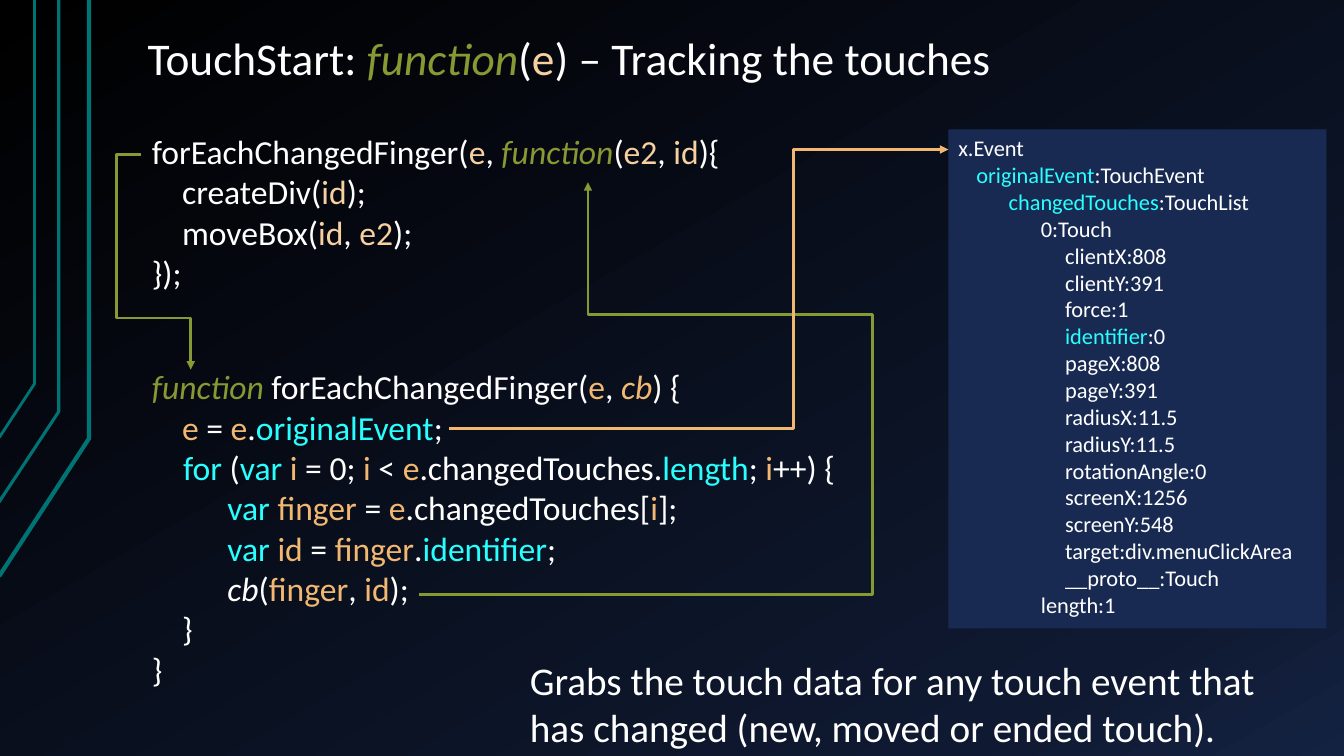
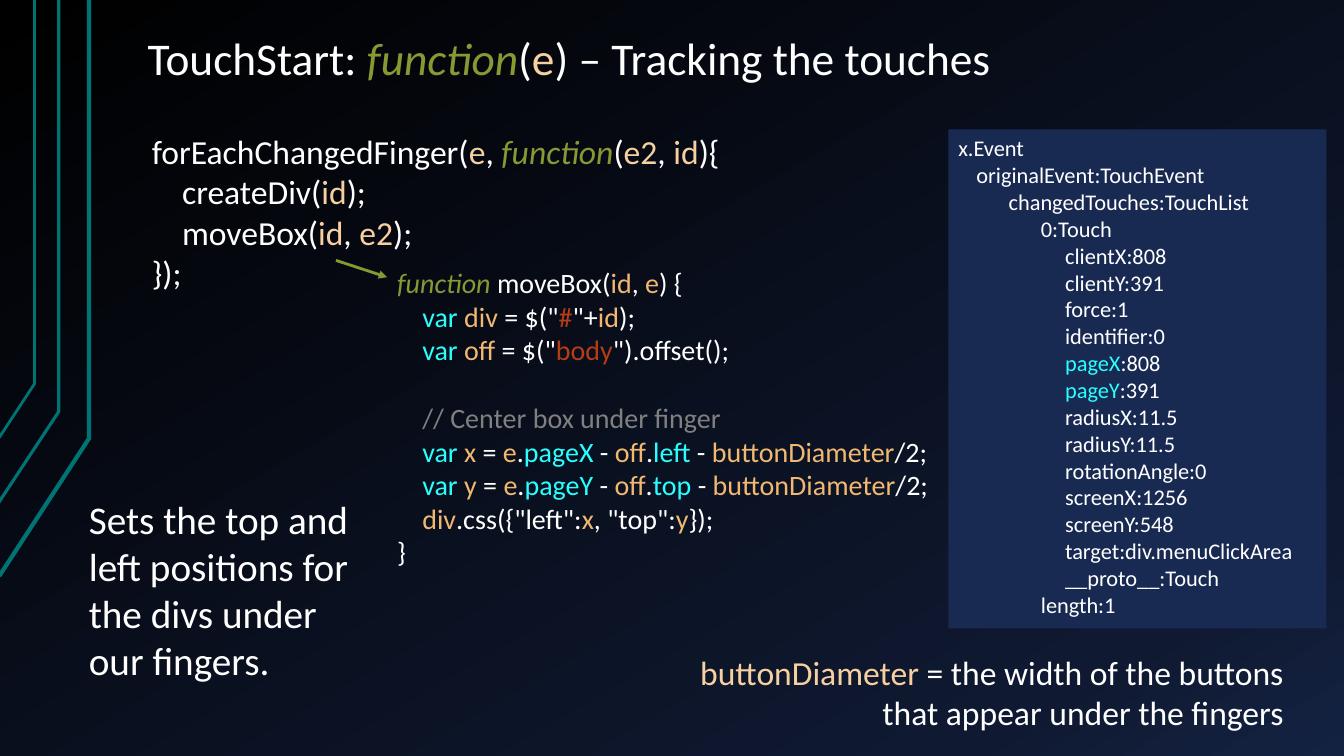
from copy import deepcopy

from lxml import etree
from pptx import Presentation
from pptx import util as u
from pptx.dml.color import RGBColor
from pptx.enum import shapes, text
from pptx.oxml.ns import qn

COLS, ROWS = 160, 90
COLORS = {
    "white": "FFFFFF", "green": "879933", "pale": "F7D0A1", "orange": "F2B872",
    "cyan": "29FFFF", "red": "B63C16", "gray": "808080", "teal": "007373",
    "panel": "192A52", "black": "000000", "night": "0F1931", "navy": "142242",
}
STYLES = {
    "fn": ("green", True), "arg": ("pale", False), "var": ("orange", False),
    "cb": ("orange", True), "call": ("white", True), "key": ("cyan", False),
    "str": ("red", False), "note": ("gray", False),
}
BACKDROP = [(0, "black"), (0.85, "night"), (1, "navy")]
STRIPES = [
    ((-0.1, 68.6), (10.6, 52.2), 3),
    ((-0.2, 59.9), (7, 49), 2.25),
    ((-0.1, 52.1), (4.1, 45.7), 2),
]
TITLE = "TouchStart: |fn:function|(|arg:e|) – Tracking the touches"
CALLER = [
    (0, "forEachChangedFinger(|arg:e|, |fn:function|(|arg:e2|, |arg:id|){"),
    (0.3, "createDiv(|arg:id|);"),
    (0.3, "moveBox(|arg:id|, |arg:e2|);"),
    (0, "});"),
]
FINGER_LOOP = [
    (0, "|fn:function |forEachChangedFinger(|var:e|, |cb:cb|) {"),
    (0.3, "|var:e| = |var:e|.|key:originalEvent|;"),
    (0.31, "|key:for |(|key:var ||var:i| = 0; |var:i| < |var:e|.changedTouches."
           "|key:length|; |var:i|++) {"),
    (0.75, "|key:var ||var:finger| = |var:e|.changedTouches[|var:i|];"),
    (0.75, "|key:var ||var:id| = |var:finger|.|key:identifier|;"),
    (0.75, "|call:cb|(|var:finger|, |var:id|);"),
    (0.3, "}"),
    (0, "}"),
]
MOVE_BOX = [
    (0, "|fn:function |moveBox(|var:id|, |var:e|) {"),
    (0.25, '|key:var ||var:div| = $("|str:#|"+|var:id|);'),
    (0.25, '|key:var ||var:off| = $("|str:body|").offset();'),
    (0.25, "|note:// Center box under finger|", 24.4),
    (0.25, "|key:var ||var:x| = |var:e|.|key:pageX| - |var:off|.|key:left| - "
           "|var:buttonDiameter|/2;"),
    (0.25, "|key:var ||var:y| = |var:e|.|key:pageY| - |var:off|.|key:top| - "
           "|var:buttonDiameter|/2;"),
    (0.25, '|var:div|.css({"left":|var:x|, "top":|var:y|});'),
    (0, "}"),
]
TOUCH_FIELDS = [
    "clientX:808", "clientY:391", "force:1", "identifier:0", "pageX:808",
    "pageY:391", "radiusX:11.5", "radiusY:11.5", "rotationAngle:0",
    "screenX:1256", "screenY:548", "target:div.menuClickArea", "__proto__:Touch",
]
EVENT_TREE = [
    (0, "x.Event"), (0.18, "originalEvent:TouchEvent"),
    (0.5, "changedTouches:TouchList"), (0.82, "0:Touch"),
    *[(1.06, field) for field in TOUCH_FIELDS], (0.82, "length:1"),
]


def rgb(name):
    """Return the named colour."""
    return RGBColor.from_string(COLORS[name])


class Deck:
    """Dark code deck drawn on a grid of columns and rows."""

    def __init__(self):
        """Open a widescreen presentation with the shared backdrop."""
        self.prs = Presentation()
        self.cell = u.Emu(76200)
        self.prs.slide_width, self.prs.slide_height = self.grid(COLS, ROWS)
        self.slide = None
        self.backdrop()

    def grid(self, *cells):
        """Convert grid lengths to EMU."""
        return [u.Emu(round(c * self.cell)) for c in cells]

    def backdrop(self):
        """Give the master its gradient background."""
        master = self.prs.slide_master
        fill = master.background.fill
        fill.gradient()
        fill.gradient_angle = 300
        stops = master.element.find(".//" + qn("a:gsLst"))
        stops.append(deepcopy(stops[0]))
        for stop, (position, color) in zip(fill.gradient_stops, BACKDROP):
            stop.position = position
            stop.color.rgb = rgb(color)

    def new_slide(self):
        """Start a slide with the stripes, title and calling code."""
        self.slide = self.prs.slides.add_slide(self.prs.slide_layouts[6])
        for foot, bend, width in STRIPES:
            self.stripe(foot, bend, width)
        self.title(TITLE)
        self.text((16.9, 15, 73, 20.6), CALLER, 24)

    def stripe(self, foot, bend, width):
        """Draw a line that rises from the left edge to the top."""
        builder = self.slide.shapes.build_freeform(*self.grid(*foot))
        builder.add_line_segments(
            [self.grid(*bend), self.grid(bend[0], 0)], close=False)
        sp = builder.convert_to_shape()
        sp.shadow.inherit = False
        sp.fill.background()
        sp.line.color.rgb = rgb("teal")
        sp.line.width = u.Pt(width)

    def add_lines(self, tf, lines, size, align):
        """Fill a text frame with indented, marked-up lines."""
        tf.word_wrap = True
        for i, (indent, markup, *gap) in enumerate(lines):
            p = tf.paragraphs[0] if i == 0 else tf.add_paragraph()
            p.alignment = align
            p.font.size, p.font.name = u.Pt(size), "Calibri"
            p.font.color.rgb = rgb("white")
            if indent:
                p._p.get_or_add_pPr().set("marL", str(u.Inches(indent)))
            if gap:
                p.space_before = u.Pt(gap[0])
            for j, piece in enumerate(markup.split("|")):
                if not piece:
                    continue
                r = p.add_run()
                if j % 2:
                    style, _, piece = piece.partition(":")
                    color, italic = STYLES[style]
                    r.font.color.rgb = rgb(color)
                    r.font.italic = italic
                r.text = piece

    def text(self, box, lines, size, align=text.PP_ALIGN.LEFT):
        """Add a text box and return its frame."""
        tf = self.slide.shapes.add_textbox(*self.grid(*box)).text_frame
        self.add_lines(tf, lines, size, align)
        return tf

    def title(self, markup):
        """Add the slide title."""
        tf = self.text((16, 3.6, 136, 7.4), [(0, markup)], 32.4)
        tf.vertical_anchor = text.MSO_ANCHOR.BOTTOM
        tf.margin_left = tf.margin_right = u.Inches(0.13)
        tf.margin_top = tf.margin_bottom = u.Inches(0.07)
        tf.paragraphs[0].line_spacing = 0.9

    def event_panel(self, highlights):
        """Add the event tree with some field names highlighted."""
        sp = self.slide.shapes.add_shape(
            shapes.MSO_SHAPE.RECTANGLE, *self.grid(112.9, 15.4, 45, 59.4))
        sp.shadow.inherit = False
        sp.fill.solid()
        sp.fill.fore_color.rgb = rgb("panel")
        sp.line.fill.background()
        lines = []
        for indent, entry in EVENT_TREE:
            name, colon, value = entry.partition(":")
            if name in highlights:
                entry = f"|key:{name}|{colon}{value}"
            lines.append((indent, entry))
        sp.text_frame.vertical_anchor = text.MSO_ANCHOR.TOP
        self.add_lines(sp.text_frame, lines, 16, text.PP_ALIGN.LEFT)

    def connect(self, start, end, bends=(), color="green", head=True, upright=False):
        """Add a straight or bent connector; upright ones leave vertically."""
        if upright:
            mid_x, mid_y = (start[0] + end[0]) / 2, (start[1] + end[1]) / 2
            start, end = [(mid_x - (y - mid_y), mid_y + (x - mid_x))
                          for x, y in (start, end)]
        kind = shapes.MSO_CONNECTOR.ELBOW if bends else shapes.MSO_CONNECTOR.STRAIGHT
        sp = self.slide.shapes.add_connector(kind, *self.grid(*start, *end))
        sp.line.color.rgb = rgb(color)
        sp.line.width = u.Pt(2)
        props = sp._element.spPr
        if upright:
            props.find(qn("a:xfrm")).set("rot", str(270 * 60000))
        if bends:
            geometry = props.find(qn("a:prstGeom"))
            geometry.set("prst", f"bentConnector{len(bends) + 2}")
            guides = geometry.find(qn("a:avLst"))
            for i, share in enumerate(bends, 1):
                etree.SubElement(guides, qn("a:gd"), name=f"adj{i}",
                                 fmla=f"val {round(share * 100000)}")
        if head:
            etree.SubElement(props.find(qn("a:ln")), qn("a:tailEnd"), type="triangle")
        etree.SubElement(props, qn("a:effectLst"))


def main():
    """Build and save the deck."""
    deck = Deck()

    deck.new_slide()
    deck.text((16.9, 43, 90, 40), FINGER_LOOP, 24)
    deck.event_panel({"originalEvent", "changedTouches", "identifier"})
    deck.connect((16.8, 18.4), (22.7, 44), (-0.5, 0.76))
    deck.connect((103.9, 60), (70, 21.7), (0.59,), upright=True)
    deck.connect((103.9, 60), (49.9, 70.8), (0,), head=False)
    deck.connect((53.5, 51), (112.9, 17.8), (0.69,), color="orange")
    deck.text((61.9, 77.5, 96, 12.5), [
        (0, "Grabs the touch data for any touch event that has changed "
            "(new, moved or ended touch).")], 28)

    deck.new_slide()
    deck.text((46.1, 31, 66, 37.6), MOVE_BOX, 20)
    deck.connect((40, 31), (46.1, 33))
    deck.text((82, 77, 72, 10.9), [
        (0, "|arg:buttonDiameter| = the width of the buttons that appear "
            "under the fingers")], 24, text.PP_ALIGN.RIGHT)
    deck.event_panel({"pageX", "pageY"})
    deck.text((9.4, 58.4, 33.6, 23.9), [
        (0, "Sets the top and left positions for the divs under our fingers.")], 28)

    deck.prs.save("out.pptx")


if __name__ == "__main__":
    main()
